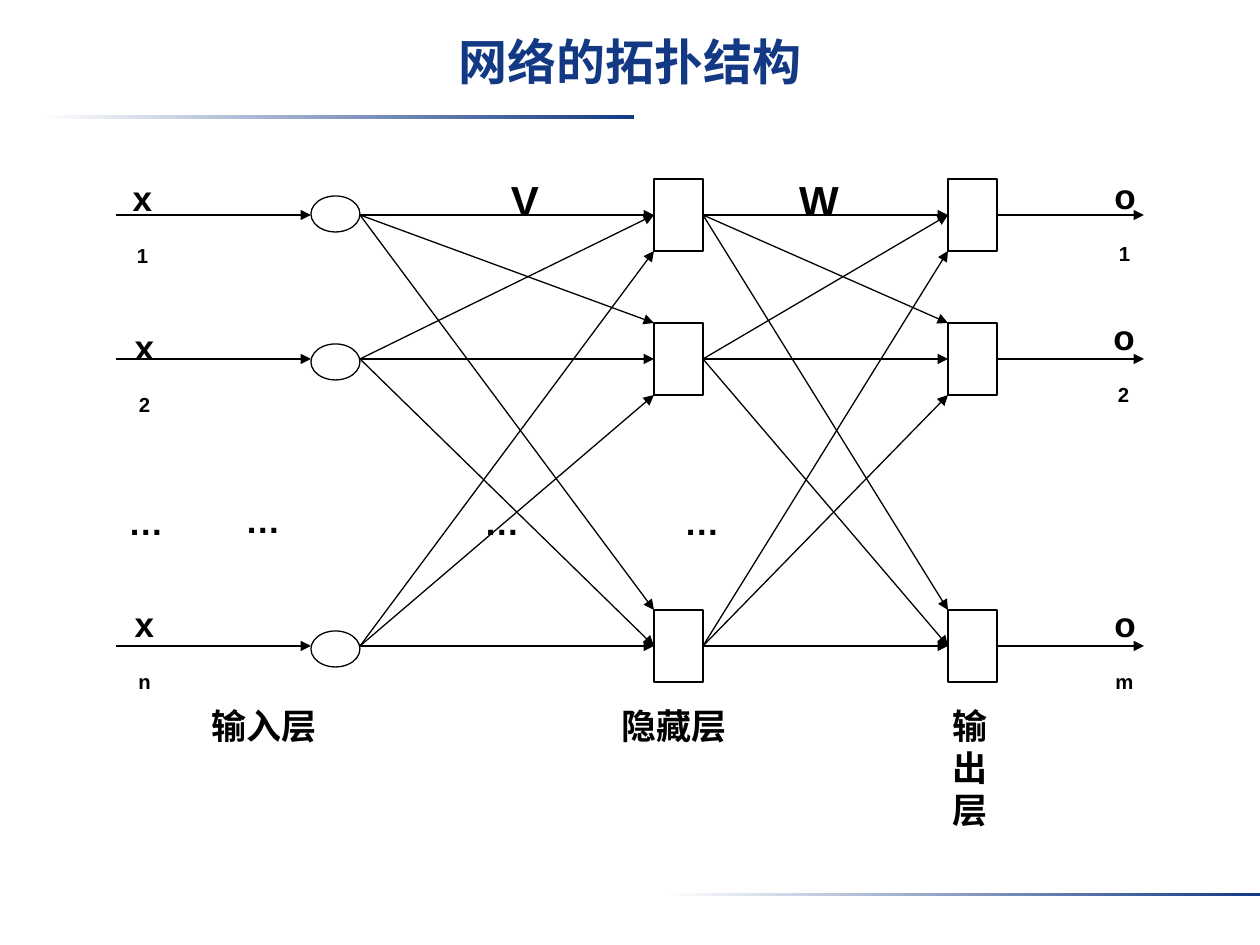
from itertools import product

from lxml import etree
from pptx import Presentation, util as u
from pptx.dml.color import RGBColor
from pptx.enum import shapes, text
from pptx.oxml.ns import qn

PX = 914400 // 126
COLORS = {"navy": "133984", "white": "FFFFFF", "black": "000000"}
RIGHT, LEFT = 3, 1  # connection sites of a rectangle


def rgb(name):
    return RGBColor.from_string(COLORS[name])


class Diagram:
    font = "Arial"
    line_width = u.Pt(0.75)

    def __init__(self, slide):
        self.s = slide

    def shape(self, kind, x, y, w, h):
        sp = self.s.shapes.add_shape(kind, *(v * PX for v in (x, y, w, h)))
        sp.shadow.inherit = False
        return sp

    def rule(self, x, y, w, h):
        sp = self.shape(shapes.MSO_SHAPE.RECTANGLE, x, y, w, h)
        sp.fill.gradient()
        sp.fill.gradient_angle = 0
        for stop, name in zip(sp.fill.gradient_stops, ("white", "navy")):
            stop.color.rgb = rgb(name)
        sp.line.fill.background()

    def node(self, kind, x, y, w, h):
        sp = self.shape(kind, x, y, w, h)
        sp.fill.solid()
        sp.fill.fore_color.rgb = rgb("white")
        sp.line.color.rgb = rgb("black")
        sp.line.width = self.line_width
        return sp

    def arrow(self, x1, y1, x2, y2, begin=None, end=None):
        c = self.s.shapes.add_connector(
            shapes.MSO_CONNECTOR.STRAIGHT, *(v * PX for v in (x1, y1, x2, y2)))
        if begin is not None:
            c.begin_connect(begin, RIGHT)
        if end is not None:
            c.end_connect(end, LEFT)
        c.line.color.rgb = rgb("black")
        c.line.width = self.line_width
        etree.SubElement(c.line._get_or_add_ln(), qn("a:tailEnd"), type="triangle")
        etree.SubElement(c._element.spPr, qn("a:effectLst"))

    def label(self, words, x, y, w, h=54, sub="", size=20, color="black", font=None):
        tf = self.s.shapes.add_textbox(*(v * PX for v in (x, y, w, h))).text_frame
        tf.word_wrap = True
        p = tf.paragraphs[0]
        p.alignment = text.PP_ALIGN.CENTER
        p.font.name = font or self.font
        p.font.size = u.Pt(size)
        p.font.bold = True
        p.font.color.rgb = rgb(color)
        p.add_run().text = words
        if sub:
            r = p.add_run()
            r.text = sub
            r._r.get_or_add_rPr().set("baseline", "-30000")


def main():
    prs = Presentation()
    prs.slide_width, prs.slide_height = u.Inches(10), u.Inches(7.5)
    d = Diagram(prs.slides.add_slide(prs.slide_layouts[6]))

    # Title and rules
    d.rule(39, 115, 595, 4)
    d.rule(665, 893, 595, 3)
    d.label("网络的拓扑结构", 0, 25, 1260, 95, size=28, color="navy",
            font="Times New Roman")

    # Nodes of the three layers
    rows = (215, 359, 646)
    node_w, box_h = 49, 72
    input_x, hidden_x, output_x = 311, 654, 948
    for y in (196, 344, 631):
        d.node(shapes.MSO_SHAPE.OVAL, input_x, y, node_w, 36)
    hidden, output = (
        [d.node(shapes.MSO_SHAPE.RECTANGLE, x, y - box_h // 2, node_w, box_h)
         for y in rows] for x in (hidden_x, output_x))

    # Arrows into and out of the network
    for y, box in zip(rows, output):
        d.arrow(116, y, input_x, y)
        d.arrow(output_x + node_w, y, 1144, y, begin=box)

    # Full links: the first row aims at top corners, the last at bottom corners
    layers = ((input_x, [None] * 3, hidden_x, hidden),
              (hidden_x, hidden, output_x, output))
    for x1, sources, x2, targets in layers:
        for a, b in product(range(3), repeat=2):
            middle = a in (b, 1)
            offset = 0 if middle else (a - 1) * box_h // 2
            d.arrow(x1 + node_w, rows[a], x2, rows[b] + offset,
                    begin=sources[a], end=targets[b] if middle else None)

    # Signal labels
    for name, sub, x, y in (("x", "1", 120, 170), ("x", "2", 122, 319),
                            ("x", "n", 122, 596), ("o", "1", 1102, 168),
                            ("o", "2", 1101, 309), ("o", "m", 1102, 596)):
        d.label(name, x, y, 45, sub=sub)

    # Layer names
    for name, x, w in (("输入层", 199, 130), ("隐藏层", 609, 130),
                       ("输出层", 924, 92)):
        d.label(name, x, 698, w)

    # Ellipses and weight matrices
    for x, y in ((116, 494), (233, 492), (472, 494), (672, 494)):
        d.label("…", x, y, 60)
    for name, x in (("V", 483), ("W", 777)):
        d.label(name, x, 168, 84, 50, size=24)

    prs.save("out.pptx")


if __name__ == "__main__":
    main()
